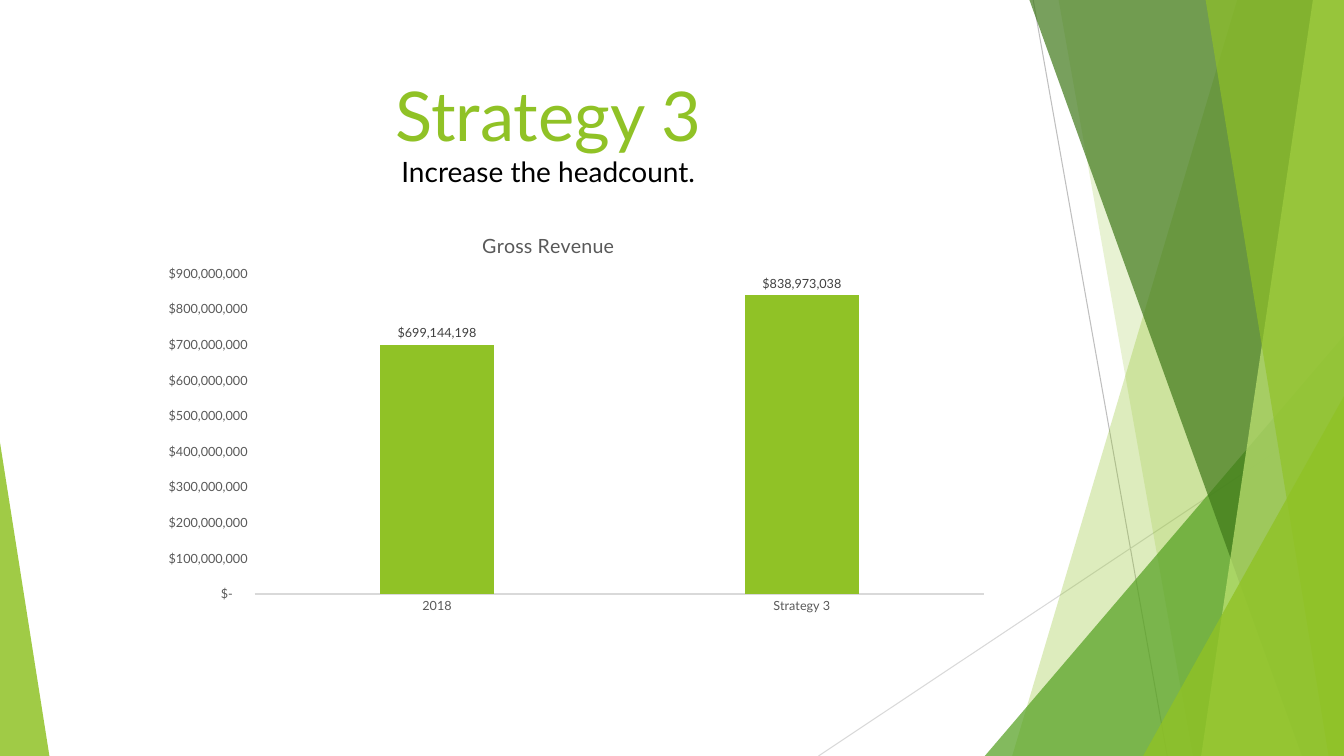
from lxml.etree import SubElement
from pptx import Presentation
from pptx.chart.data import CategoryChartData
from pptx.dml.color import RGBColor
from pptx.enum.chart import XL_CHART_TYPE as ChartType
from pptx.enum.chart import XL_LABEL_POSITION as LabelPosition
from pptx.enum.chart import XL_TICK_MARK as TickMark
from pptx.enum.shapes import MSO_CONNECTOR as Connector
from pptx.enum.shapes import MSO_SHAPE as Shape
from pptx.enum.text import MSO_ANCHOR as Anchor
from pptx.enum.text import PP_ALIGN as Align
from pptx.oxml.ns import qn
from pptx.util import Pt

WIDTH, HEIGHT = 960, 540
PANEL_TOP = -0.6
LEFT, CONTENT_WIDTH = 53.28, 676.8
FONT = "Lato"
GREEN, BLACK, GRAY, DARK_GRAY, PALE_GRAY = "90C226", "000000", "595959", "404040", "D9D9D9"
CURRENCY = '_("$"* #,##0_);_("$"* \\(#,##0\\);_("$"* "-"??_);_(@_)'

GUIDE_LINES = [
    ((738, 0), (833.76, HEIGHT), "BFBFBF"),
    ((WIDTH, 290.16), (584.64, HEIGHT), PALE_GRAY),
]
BACK_PANELS = [(884.16, 722.88, GREEN, 30), (756, 851.76, GREEN, 20)]
FRONT_PANELS = [
    (735.12, 929.52, "3F7819", 70),
    (938.16, 858.24, "C0E474", 70),
    (861.12, 948.96, GREEN, 65),
]


def color(value):
    return RGBColor.from_string(value)


def set_attributes(target, values):
    for name, value in values.items():
        setattr(target, name, value)


def set_font(font, size, value):
    set_attributes(font, {"name": FONT, "size": Pt(size), "bold": False})
    font.color.rgb = color(value)


def set_line(line, value):
    line.color.rgb = color(value)
    line.width = Pt(0.75)


def set_fill(shape, value, opacity):
    shape.shadow.inherit = False
    shape.line.fill.background()
    shape.fill.solid()
    shape.fill.fore_color.rgb = color(value)
    fill_color = shape.element.spPr.find(f"{qn('a:solidFill')}/{qn('a:srgbClr')}")
    SubElement(fill_color, qn("a:alpha"), val=str(opacity * 1000))


def add_guide_line(slide, start, end, value):
    line = slide.shapes.add_connector(Connector.STRAIGHT, *map(Pt, start + end))
    set_line(line.line, value)
    SubElement(line.element.spPr, qn("a:effectLst"))


def add_panel(slide, top_x, bottom_x, value, opacity):
    builder = slide.shapes.build_freeform(top_x, PANEL_TOP, scale=Pt(1))
    builder.add_line_segments([(WIDTH, PANEL_TOP), (WIDTH, HEIGHT), (bottom_x, HEIGHT)])
    set_fill(builder.convert_to_shape(), value, opacity)


def add_corner(slide, left, width, height, apex, value, opacity):
    box = (left, HEIGHT - height, width, height)
    triangle = slide.shapes.add_shape(Shape.ISOSCELES_TRIANGLE, *map(Pt, box))
    triangle.adjustments[0] = apex
    set_fill(triangle, value, opacity)


def add_background(slide):
    for guide_line in GUIDE_LINES:
        add_guide_line(slide, *guide_line)
    for panel in BACK_PANELS:
        add_panel(slide, *panel)
    add_corner(slide, 703.44, 256.56, 300.24, 1, "54A021", 72)
    for panel in FRONT_PANELS:
        add_panel(slide, *panel)
    add_corner(slide, 816.48, 143.52, 257.04, 1, GREEN, 80)
    add_corner(slide, 0, 35.28, 223.92, 0, GREEN, 85)


def add_heading(slide, title, subtitle):
    box = (LEFT, 48.24, CONTENT_WIDTH, 95.04)
    frame = slide.shapes.add_textbox(*map(Pt, box)).text_frame
    set_attributes(frame, {"word_wrap": True, "vertical_anchor": Anchor.TOP})
    paragraph = frame.paragraphs[0]
    paragraph.alignment = Align.CENTER
    run = paragraph.add_run()
    run.text = title
    set_font(run.font, 49, GREEN)
    paragraph.add_line_break()
    run = paragraph.add_run()
    run.text = subtitle
    set_font(run.font, 20, BLACK)


def place_plot(chart, x, y, width, height):
    plot_area = chart.element.find(f".//{qn('c:plotArea')}")
    for existing in plot_area.findall(qn("c:layout")):
        plot_area.remove(existing)
    layout = SubElement(plot_area, qn("c:layout"))
    plot_area.insert(0, layout)
    manual = SubElement(layout, qn("c:manualLayout"))
    values = {"layoutTarget": "inner", "xMode": "edge", "yMode": "edge",
              "x": x, "y": y, "w": width, "h": height}
    for name, value in values.items():
        SubElement(manual, qn(f"c:{name}"), val=str(value))


def style_axis(axis):
    set_attributes(axis, {
        "has_major_gridlines": False,
        "major_tick_mark": TickMark.NONE,
        "minor_tick_mark": TickMark.NONE,
    })
    set_font(axis.tick_labels.font, 9, GRAY)


def add_revenue_chart(slide, title, revenues):
    data = CategoryChartData(number_format=CURRENCY)
    data.categories = list(revenues)
    data.add_series(title, list(revenues.values()))
    box = (LEFT, 152.64, CONTENT_WIDTH, 305.28)
    chart = slide.shapes.add_chart(ChartType.COLUMN_CLUSTERED, *map(Pt, box), data).chart
    set_attributes(chart, {"has_legend": False, "has_title": True})
    set_font(chart.font, 10, BLACK)
    title_frame = chart.chart_title.text_frame
    title_frame.text = title
    set_font(title_frame.paragraphs[0].runs[0].font, 14, GRAY)

    style_axis(chart.category_axis)
    set_line(chart.category_axis.format.line, PALE_GRAY)
    value_axis = chart.value_axis
    style_axis(value_axis)
    value_axis.format.line.fill.background()
    set_attributes(value_axis, {
        "minimum_scale": 0, "maximum_scale": 900_000_000, "major_unit": 100_000_000,
    })
    number_format = {"number_format": CURRENCY, "number_format_is_linked": False}
    set_attributes(value_axis.tick_labels, number_format)

    plot = chart.plots[0]
    set_attributes(plot, {
        "gap_width": 219, "overlap": -27, "vary_by_categories": False,
        "has_data_labels": True,
    })
    labels = plot.data_labels
    set_attributes(labels, number_format | {
        "show_value": True, "position": LabelPosition.OUTSIDE_END,
    })
    set_font(labels.font, 9, DARK_GRAY)
    fill = plot.series[0].format.fill
    fill.solid()
    fill.fore_color.rgb = color(GREEN)
    place_plot(chart, 0.19, 0.14, 0.77, 0.75)


def main():
    presentation = Presentation()
    set_attributes(presentation, {"slide_width": Pt(WIDTH), "slide_height": Pt(HEIGHT)})
    slide = presentation.slides.add_slide(presentation.slide_layouts[6])
    add_background(slide)
    add_heading(slide, "Strategy 3", "Increase the headcount.")
    add_revenue_chart(slide, "Gross Revenue", {"2018": 699144198, "Strategy 3": 838973038})
    presentation.save("out.pptx")


if __name__ == "__main__":
    main()
